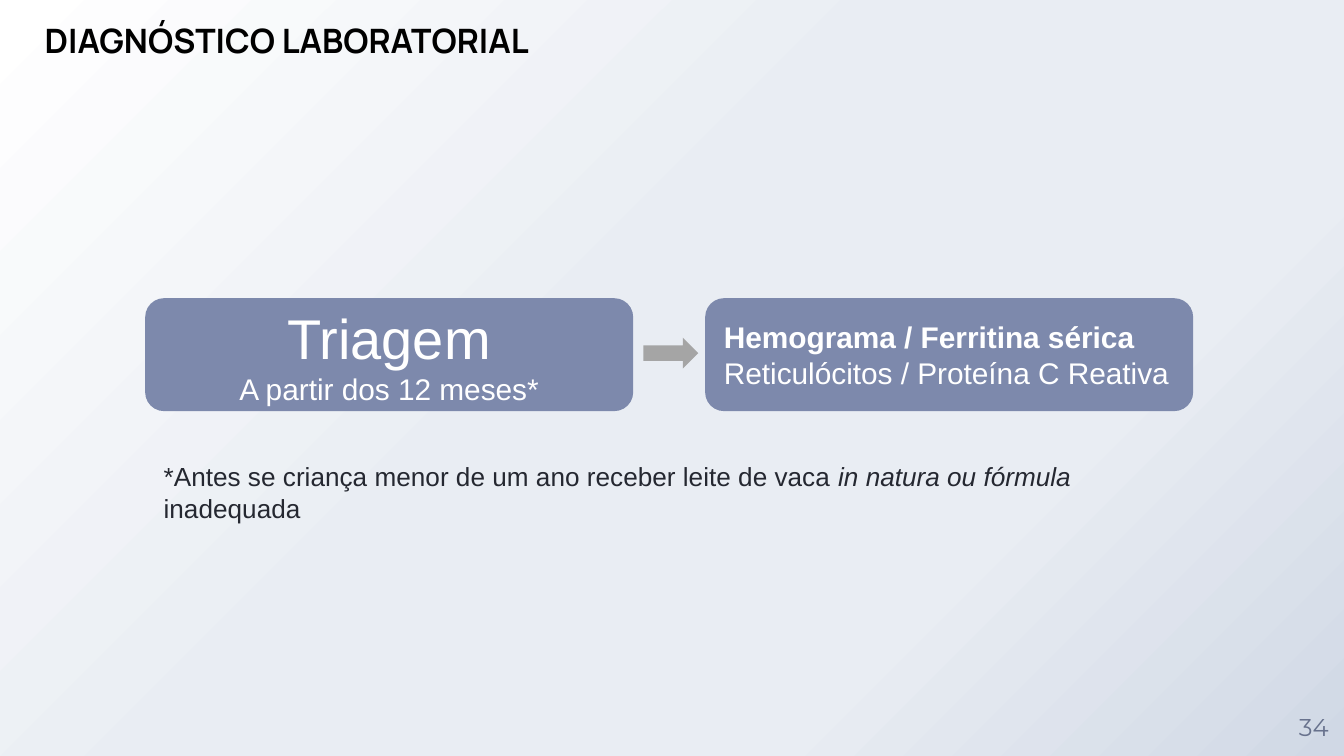
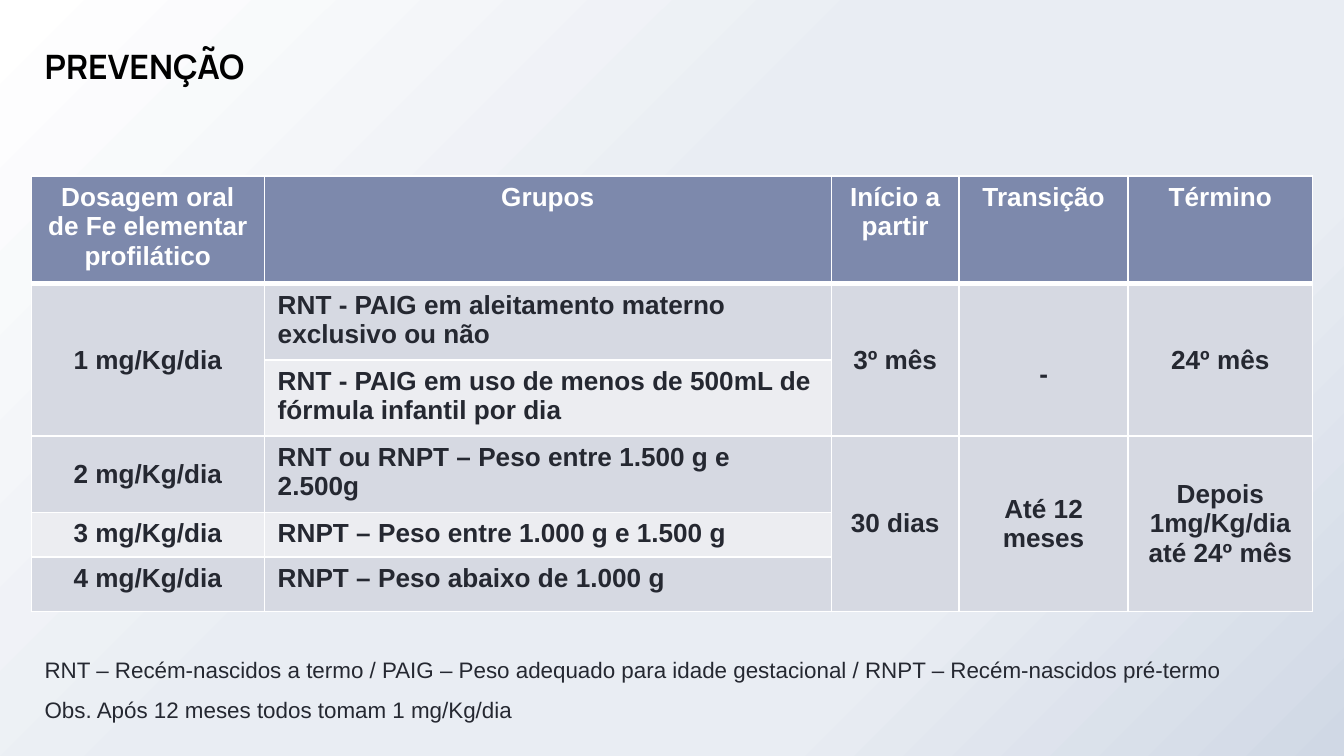
"""Builds two slides on laboratory diagnosis and prevention of iron deficiency."""
from copy import deepcopy

from lxml import etree
from pptx import Presentation
from pptx.dml.color import RGBColor
from pptx.enum.shapes import MSO_SHAPE as Shape
from pptx.enum.text import MSO_ANCHOR as Anchor, PP_ALIGN as Align
from pptx.oxml.ns import qn
from pptx.util import Pt

WHITE = RGBColor(0xFF, 0xFF, 0xFF)
BLACK = RGBColor(0x00, 0x00, 0x00)
INK = RGBColor(0x25, 0x28, 0x31)
BLUE = RGBColor(0x7D, 0x89, 0xAC)
GRAY = RGBColor(0xA5, 0xA5, 0xA5)
SLATE = RGBColor(0x68, 0x72, 0x8D)
MIST = RGBColor(0xE9, 0xED, 0xF3)
HAZE = RGBColor(0xD0, 0xD8, 0xE5)
BAND_DARK = RGBColor(0xD6, 0xD9, 0xE2)
BAND_LIGHT = RGBColor(0xEC, 0xED, 0xF1)
BACKGROUND_STOPS = [(0, WHITE), (0.44, MIST), (0.72, MIST), (1, HAZE)]


def write(text_frame, text, size, color=INK, bold=False, align=Align.LEFT, font="Arial"):
    text_frame.word_wrap = True
    text_frame.text = text
    for paragraph in text_frame.paragraphs:
        paragraph.alignment = align
        for run in paragraph.runs:
            run.font.name = font
            run.font.size = Pt(size)
            run.font.bold = bold
            run.font.color.rgb = color


def add_text(slide, left, top, width, height, anchor=Anchor.TOP):
    box = slide.shapes.add_textbox(Pt(left), Pt(top), Pt(width), Pt(height))
    box.text_frame.vertical_anchor = anchor
    return box.text_frame


presentation = Presentation()
presentation.slide_width = Pt(720)
presentation.slide_height = Pt(405)

slides = []
for title, title_top in [("DIAGNÓSTICO LABORATORIAL", 7.2), ("PREVENÇÃO", 20.9)]:
    slide = presentation.slides.add_slide(presentation.slide_layouts[6])
    fill = slide.background.fill
    fill.gradient()
    fill.gradient_angle = 315
    stop_list = next(slide.element.iter(qn("a:gsLst")))
    while len(stop_list) < len(BACKGROUND_STOPS):
        stop_list.append(deepcopy(stop_list[0]))
    for stop, (position, color) in zip(fill.gradient_stops, BACKGROUND_STOPS):
        stop.position = position
        stop.color.rgb = color
    write(add_text(slide, 16.8, title_top, 436, 30), title, 18, BLACK, True, font="Manrope")
    slides.append(slide)
diagnosis, prevention = slides

page_number = add_text(diagnosis, 687.6, 373, 32.4, 32.4, Anchor.MIDDLE)
page_number.margin_left = page_number.margin_right = 0
write(page_number, "34", 13, SLATE, align=Align.CENTER, font="Montserrat")

flow_shapes = []
for kind, left, top, width, height, color in [
    (Shape.ROUNDED_RECTANGLE, 77.8, 159.8, 261.4, 60.5, BLUE),
    (Shape.ROUNDED_RECTANGLE, 377.8, 159.8, 261.4, 60.5, BLUE),
    (Shape.RIGHT_ARROW, 344.6, 180.9, 29.5, 16.6, GRAY),
]:
    shape = diagnosis.shapes.add_shape(kind, Pt(left), Pt(top), Pt(width), Pt(height))
    shape.shadow.inherit = False
    shape.fill.solid()
    shape.fill.fore_color.rgb = color
    shape.line.fill.background()
    shape.text_frame.vertical_anchor = Anchor.MIDDLE
    flow_shapes.append(shape)
screening, exams, arrow = flow_shapes
write(screening.text_frame, "Triagem\nA partir dos 12 meses*", 16, WHITE, align=Align.CENTER)
screening.text_frame.paragraphs[0].runs[0].font.size = Pt(30)
write(exams.text_frame, "Hemograma / Ferritina sérica\nReticulócitos / Proteína C Reativa", 16, WHITE)
exams.text_frame.paragraphs[0].runs[0].font.bold = True

footnote = add_text(diagnosis, 80.6, 240.5, 566, 46, Anchor.MIDDLE)
write(footnote, "*Antes se criança menor de um ano receber leite de vaca ", 14)
for text, italic in [("in natura ou fórmula ", True), ("inadequada", False)]:
    run = footnote.paragraphs[0].add_run()
    run.text = text
    run.font.name = "Arial"
    run.font.size = Pt(14)
    run.font.italic = italic
    run.font.color.rgb = INK

ROWS = [
    ["Dosagem oral de Fe elementar profilático", "Grupos", "Início a partir", "Transição", "Término"],
    ["1 mg/Kg/dia", "RNT - PAIG em aleitamento materno\nexclusivo ou não", "3º mês", "-", "24º mês"],
    ["", "RNT - PAIG em uso de menos de 500mL de fórmula infantil por dia", "", "", ""],
    ["2 mg/Kg/dia", "RNT ou RNPT – Peso entre 1.500 g e 2.500g", "30 dias", "Até 12 meses",
     "Depois\n1mg/Kg/dia até 24º mês"],
    ["3 mg/Kg/dia", "RNPT – Peso entre 1.000 g e 1.500 g", "", "", ""],
    ["4 mg/Kg/dia", "RNPT – Peso abaixo de 1.000 g", "", "", ""],
]
COLUMN_WIDTHS = [124.8, 303.8, 68.4, 90.6, 98.8]
ROW_HEIGHTS = [54, 38.6, 38.6, 38.6, 23, 29]
MERGES = [(1, 0, 2), (1, 2, 2), (1, 3, 2), (1, 4, 2), (3, 2, 5), (3, 3, 5), (3, 4, 5)]

table = prevention.shapes.add_table(
    len(ROWS), len(COLUMN_WIDTHS), Pt(16.8), Pt(94.3), Pt(sum(COLUMN_WIDTHS)), Pt(sum(ROW_HEIGHTS))
).table
for column, width in zip(table.columns, COLUMN_WIDTHS):
    column.width = Pt(width)
for row, height in zip(table.rows, ROW_HEIGHTS):
    row.height = Pt(height)

for row_index, row in enumerate(ROWS):
    for column_index, text in enumerate(row):
        cell = table.cell(row_index, column_index)
        is_header = row_index == 0
        is_group = column_index == 1
        align = Align.LEFT if is_group and not is_header else Align.CENTER
        write(cell.text_frame, text, 14, WHITE if is_header else INK, True, align)
        if row_index in (1, 3) and not is_group:
            cell.vertical_anchor = Anchor.MIDDLE
        is_light = row_index in (2, 4) and column_index < 2
        cell.fill.solid()
        cell.fill.fore_color.rgb = BLUE if is_header else BAND_LIGHT if is_light else BAND_DARK
        properties = cell.fill._xPr
        for position, side in enumerate(("lnL", "lnR", "lnT", "lnB")):
            heavy = (is_header and side == "lnB") or (row_index == 1 and side == "lnT")
            border = etree.Element(qn(f"a:{side}"), w=str(Pt(3 if heavy else 1)))
            line_fill = etree.SubElement(border, qn("a:solidFill"))
            etree.SubElement(line_fill, qn("a:srgbClr"), val=str(WHITE))
            properties.insert(position, border)

table.cell(1, 3).margin_top = Pt(19.6)
for first_row, column_index, last_row in MERGES:
    table.cell(first_row, column_index).merge(table.cell(last_row, column_index))

legend = add_text(prevention, 16.8, 347, 686.2, 37.4, Anchor.MIDDLE)
write(
    legend,
    "RNT – Recém-nascidos a termo / PAIG – Peso adequado para idade gestacional / RNPT – Recém-nascidos pré-termo\n"
    "Obs. Após 12 meses todos tomam 1 mg/Kg/dia",
    12,
)
for paragraph in legend.paragraphs:
    paragraph.line_spacing = 1.5

presentation.save("out.pptx")
